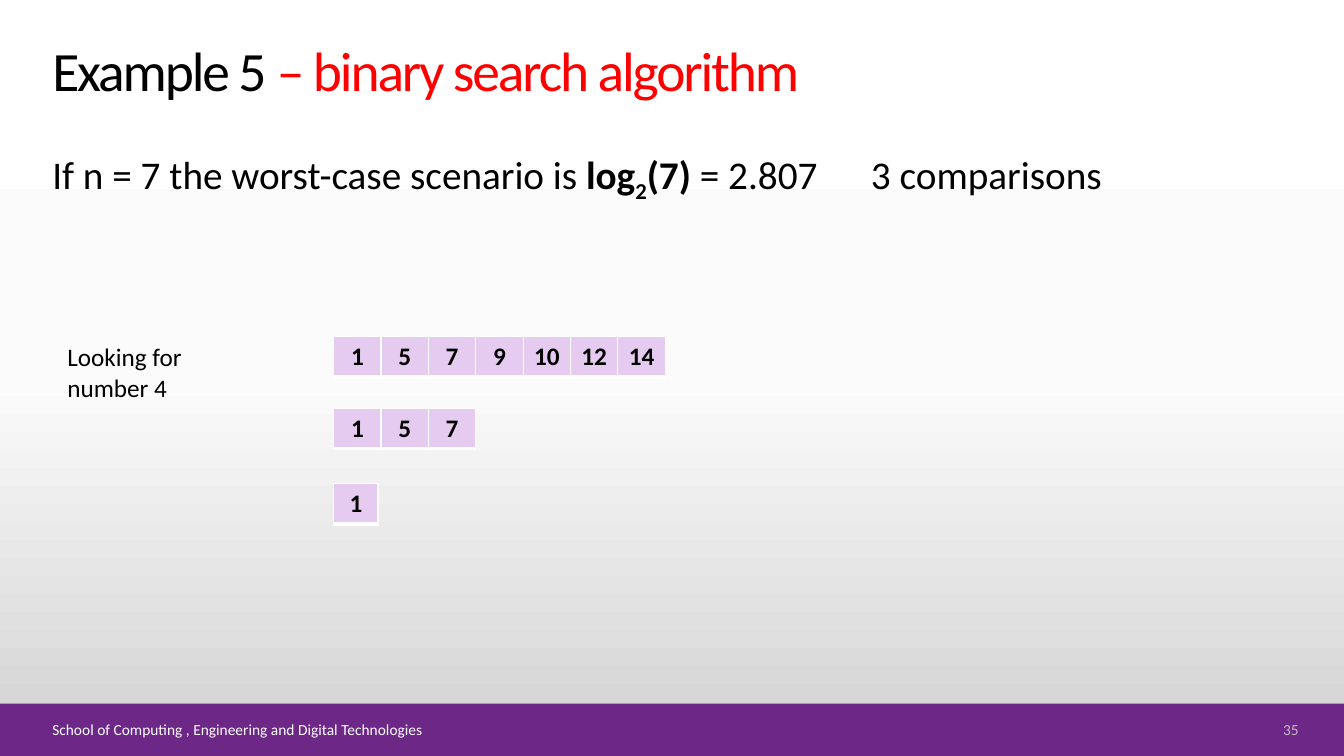
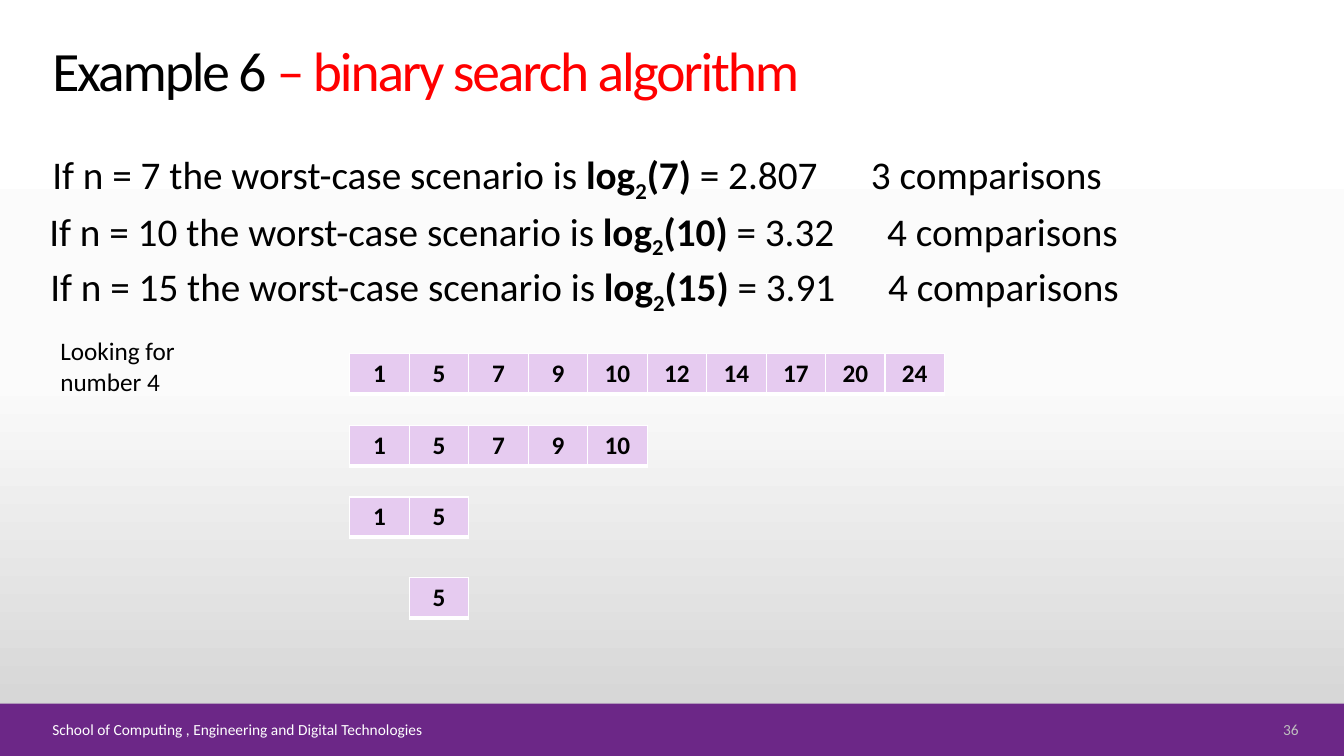
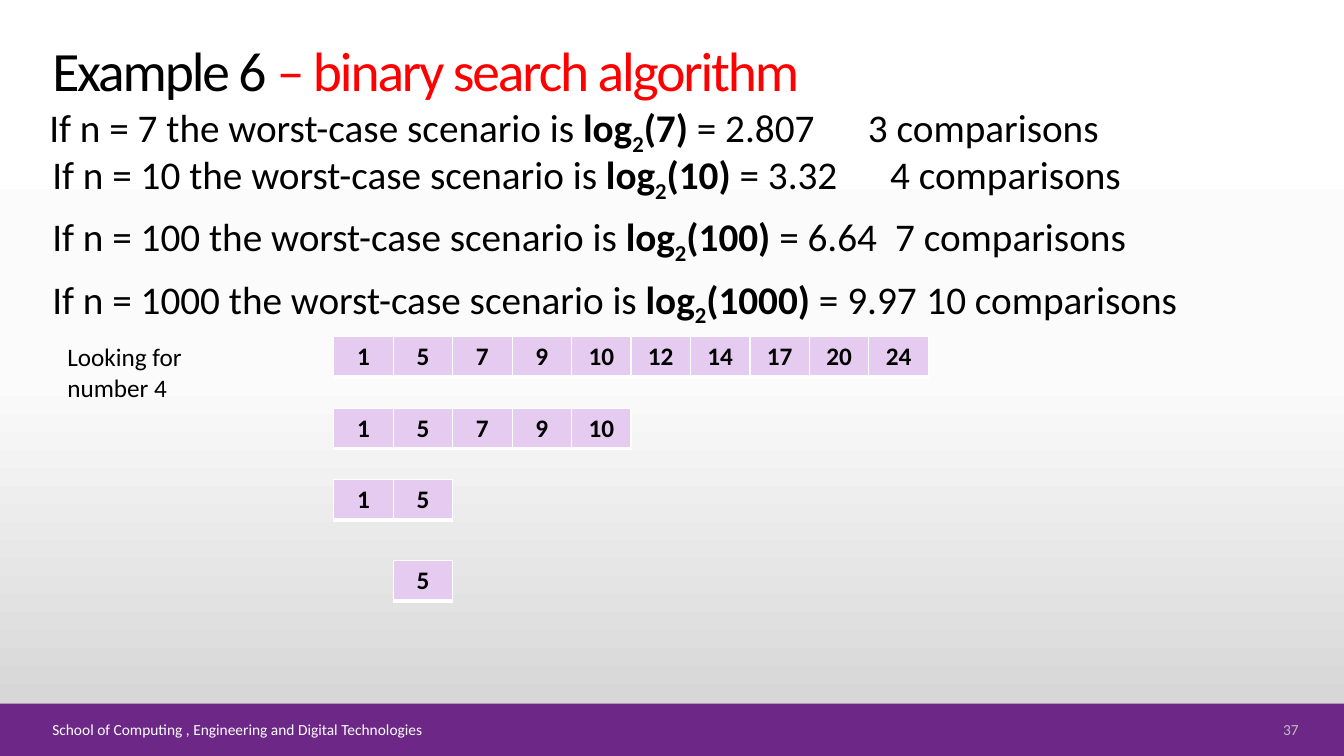
from lxml.etree import SubElement
from pptx import Presentation
from pptx.dml.color import RGBColor
from pptx.enum.shapes import MSO_SHAPE
from pptx.enum.text import MSO_ANCHOR, PP_ALIGN
from pptx.oxml.ns import qn
from pptx.util import Inches, Pt

FONT = "Calibri"
BLACK, WHITE, RED = "000000", "FFFFFF", "FF0000"
PURPLE, LILAC, GREY = "6C2787", "E6CBF0", "BFBFBF"
SHADES = [(0, WHITE), (50, "FBFBFB"), (100, "D1D1D1")]
EDGES = [("lnL", 1), ("lnR", 1), ("lnT", 1), ("lnB", 3)]

TOPIC = "– binary search algorithm"
SCHOOL = "School of Computing , Engineering and Digital Technologies"
HINT = "Looking for number 4"
FIRST = 35

SEVEN = (7, "2.807", 3, 8.12)
TEN = (10, "3.32", 4, 8.31)
LIST = [1, 5, 7, 9, 10, 12, 14, 17, 20, 24]
HALVES = [(0, 0, LIST), (0, 0.71, LIST[:5]), (0, 1.42, LIST[:2]), (1, 2.22, LIST[1:2])]

SLIDES = [
    {
        "title": "Example 5 ",
        "facts": [(0.42, 1.45, 0.58, [SEVEN])],
        "hint": (0.57, 3.34),
        "grid": (3.31, 3.34, 0.47),
        "rows": [(0, 0, [1, 5, 7, 9, 10, 12, 14]), (0, 0.71, [1, 5, 7]), (0, 1.46, [1])],
    },
    {
        "title": "Example 6 ",
        "facts": [
            (0.42, 1.45, 0.58, [SEVEN]),
            (0.39, 2.01, 0.91, [TEN]),
            (0.4, 2.56, 0.91, [(15, "3.91", 4, 8.31)]),
        ],
        "hint": (0.5, 3.28),
        "grid": (3.47, 3.51, 0.59),
        "rows": HALVES,
    },
    {
        "title": "Example 6 ",
        "facts": [
            (0.39, 0.98, 0.58, [SEVEN]),
            (0.42, 1.45, 1.85, [TEN, (100, "6.64", 7, 8.36), (1000, "9.97", 10, 8.67)]),
        ],
        "hint": (0.57, 3.34),
        "grid": (3.31, 3.34, 0.59),
        "rows": HALVES,
    },
]


def tint(code):
    return RGBColor.from_string(code)


def style(run, size, color=BLACK, bold=False):
    font = run.font
    font.name, font.size, font.bold = FONT, Pt(size), bold
    font.color.rgb = tint(color)


def frame(slide, left, top, width, height, anchor=MSO_ANCHOR.TOP):
    box = slide.shapes.add_textbox(Inches(left), Inches(top), Inches(width), Inches(height))
    text = box.text_frame
    text.word_wrap = True
    text.vertical_anchor = anchor
    return text


def label(slide, text, area, size, color=BLACK, align=PP_ALIGN.LEFT, anchor=MSO_ANCHOR.TOP):
    body = frame(slide, *area, anchor)
    body.text = text
    para = body.paragraphs[0]
    para.alignment = align
    style(para.runs[0], size, color)


def backdrop(master):
    fill = master.background.fill
    fill.gradient()
    fill.gradient_angle = 270
    stops = master.element.find(".//" + qn("a:gsLst"))
    for stop in list(stops):
        stops.remove(stop)
    for place, color in SHADES:
        stop = SubElement(stops, qn("a:gs"), pos=str(place * 1000))
        SubElement(stop, qn("a:srgbClr"), val=color)


def footer(slide, number):
    band = slide.shapes.add_shape(MSO_SHAPE.RECTANGLE, 0, Inches(6.98), Inches(13.33), Inches(0.52))
    band.shadow.inherit = False
    band.fill.solid()
    band.fill.fore_color.rgb = tint(PURPLE)
    band.line.fill.background()
    label(slide, SCHOOL, (0.42, 7.12, 11.65, 0.23), 11, WHITE, anchor=MSO_ANCHOR.MIDDLE)
    label(slide, str(number), (12.23, 7.12, 0.75, 0.23), 11, GREY, PP_ALIGN.RIGHT, MSO_ANCHOR.MIDDLE)


def heading(slide, title):
    para = frame(slide, 0.42, 0.31, 8.12, 0.77, MSO_ANCHOR.BOTTOM).paragraphs[0]
    para.line_spacing = 0.9
    for text, color in [(title, BLACK), (TOPIC, RED)]:
        run = para.add_run()
        run.text = text
        style(run, 39.6, color)
        run.font._element.set("spc", "-150")


def formula(para, n, value, count, stop):
    para.line_spacing = 0.9
    para.space_before = Pt(10)
    tabs = SubElement(para._p.get_or_add_pPr(), qn("a:tabLst"))
    SubElement(tabs, qn("a:tab"), pos=str(Inches(stop)), algn="l")
    parts = [
        (f"If n = {n} the worst-case scenario is ", False, 0),
        ("log", True, 0),
        ("2", True, -25000),
        (f"({n}) ", True, 0),
        (f"= {value}\t{count} comparisons", False, 0),
    ]
    for text, bold, shift in parts:
        run = para.add_run()
        run.text = text
        style(run, 28, bold=bold)
        if shift:
            run.font._element.set("baseline", str(shift))


def facts(slide, left, top, height, items):
    text = frame(slide, left, top, 12.55, height)
    for i, item in enumerate(items):
        formula(text.add_paragraph() if i else text.paragraphs[0], *item)


def border(cell):
    props = cell._tc.get_or_add_tcPr()
    for edge, width in EDGES:
        line = SubElement(props, qn("a:" + edge), w=str(Pt(width)))
        fill = SubElement(line, qn("a:solidFill"))
        SubElement(fill, qn("a:srgbClr"), val=WHITE)


def row(slide, left, top, step, values):
    width = Inches(step)
    table = slide.shapes.add_table(
        1, len(values), Inches(left), Inches(top), width * len(values), Inches(0.4)
    ).table
    table.first_row = table.horz_banding = False
    for i, value in enumerate(values):
        table.columns[i].width = width
        cell = table.cell(0, i)
        border(cell)
        cell.fill.solid()
        cell.fill.fore_color.rgb = tint(LILAC)
        cell.text = str(value)
        para = cell.text_frame.paragraphs[0]
        para.alignment = PP_ALIGN.CENTER
        style(para.runs[0], 18, bold=True)


def main():
    deck = Presentation()
    deck.slide_width, deck.slide_height = Inches(13.33), Inches(7.5)
    backdrop(deck.slide_master)
    for number, data in enumerate(SLIDES, FIRST):
        slide = deck.slides.add_slide(deck.slide_layouts[6])
        footer(slide, number)
        heading(slide, data["title"])
        for fact in data["facts"]:
            facts(slide, *fact)
        left, top, step = data["grid"]
        for skip, drop, values in data["rows"]:
            wide = 0.44 if len(values) == 1 and not skip else step
            row(slide, left + skip * step, top + drop, wide, values)
        label(slide, HINT, (*data["hint"], 1.63, 0.71), 18)
    deck.save("out.pptx")


if __name__ == "__main__":
    main()
